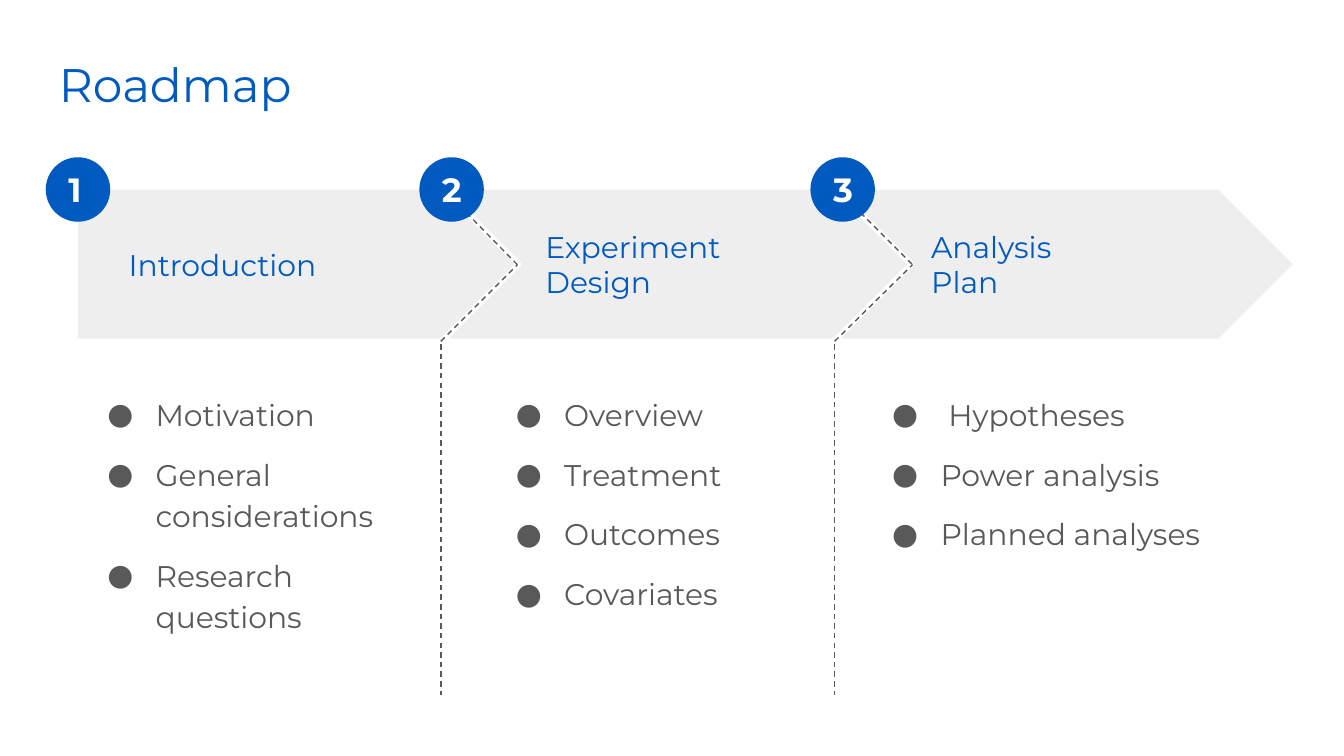
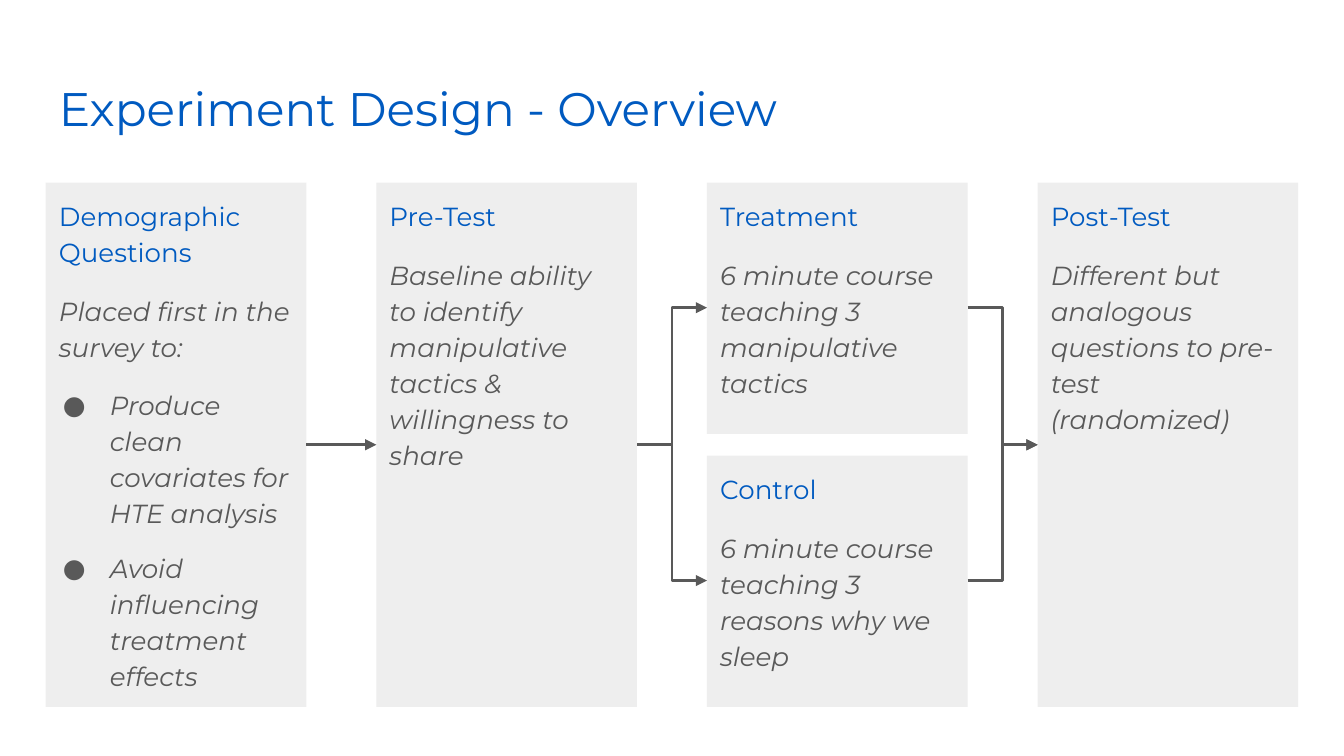
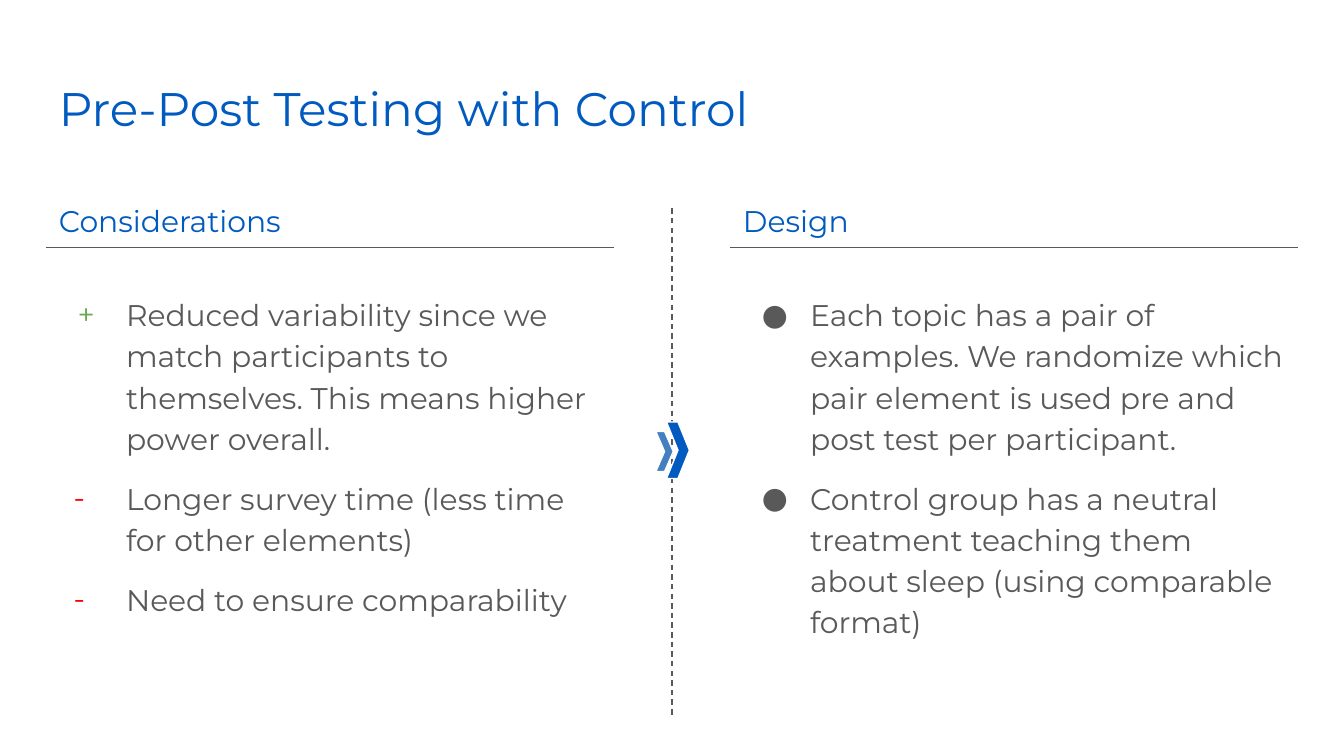
import pptx
import pptx.dml.color
import pptx.enum.dml
import pptx.enum.shapes
import pptx.enum.text
import pptx.oxml.ns
import pptx.util
import lxml.etree

PX = 9144
FACE = "Montserrat"
HUE = {"blue": "005AC0", "pale": "4280C0", "gray": "595959", "mist": "EEEEEE",
       "white": "FFFFFF", "green": "6AA84F", "red": "FF0000"}
KIND = pptx.enum.shapes.MSO_SHAPE
LINK = pptx.enum.shapes.MSO_CONNECTOR
TOP = pptx.enum.text.MSO_ANCHOR.TOP
MID = pptx.enum.text.MSO_ANCHOR.MIDDLE
LEFT = pptx.enum.text.PP_ALIGN.LEFT

STYLE = {
    "title": {"font": {"size": 25.2}, "hue": "blue"},
    "step": {"font": {"size": 16}, "hue": "blue", "dent": (30, 0)},
    "stage": {"font": {"size": 16}, "hue": "blue", "dent": (80, 0)},
    "badge": {"font": {"size": 18, "bold": True}, "hue": "white"},
    "head": {"font": {"size": 16}, "hue": "blue", "after": 10},
    "item": {"font": {"size": 16}, "hue": "gray", "dent": (50, -36),
             "space": 1.15, "before": 10, "mark": ("●", "gray")},
    "plus": {"font": {"size": 16}, "hue": "gray", "dent": (50, -36),
             "space": 1.15, "before": 10, "mark": ("+", "green")},
    "minus": {"font": {"size": 16}, "hue": "gray", "dent": (50, -39),
              "space": 1.15, "before": 10, "mark": ("-", "red")},
    "card": {"font": {"size": 14}, "hue": "blue", "space": 1.15},
    "note": {"font": {"size": 14, "italic": True}, "hue": "gray",
             "space": 1.15, "before": 12},
    "lead": {"font": {"size": 14, "italic": True}, "hue": "gray", "dent": (38, -35),
             "space": 1.15, "before": 12, "mark": ("●", "gray")},
    "goal": {"font": {"size": 14, "italic": True}, "hue": "gray", "dent": (38, -35),
             "space": 1.15, "before": 10, "mark": ("●", "gray")},
}

STEPS = [
    {"left": 56, "wide": 330, "badge": 34, "body": 56,
     "name": [("step", "Introduction")],
     "items": ["Motivation", "General considerations", "Research questions"]},
    {"left": 316, "wide": 362, "badge": 312, "body": 360, "foot": 328, "tip": 385,
     "name": [("stage", "Experiment"), ("stage", "Design")],
     "items": ["Overview", "Treatment", "Outcomes", "Covariates"]},
    {"left": 603, "wide": 362, "badge": 603, "body": 640, "foot": 621, "tip": 679,
     "name": [("stage", "Analysis"), ("stage", "Plan")],
     "items": [" Hypotheses", "Power analysis", "Planned analyses"]},
]

CARDS = {
    "demo": (0, "full", [
        ("card", "Demographic Questions"),
        ("note", "Placed first in the survey to:"),
        ("lead", "Produce clean covariates for HTE analysis"),
        ("goal", "Avoid influencing treatment effects")]),
    "pre": (1, "full", [
        ("card", "Pre-Test"),
        ("note", "Baseline ability to identify manipulative tactics & willingness to share")]),
    "treat": (2, "upper", [
        ("card", "Treatment"),
        ("note", "6 minute course teaching 3 manipulative tactics")]),
    "post": (3, "full", [
        ("card", "Post-Test"),
        ("note", "Different but analogous questions to pre-test (randomized)")]),
    "control": (2, "lower", [
        ("card", "Control"),
        ("note", "6 minute course teaching 3 reasons why we sleep")]),
}
ROWS = {"full": (136, 390), "upper": (136, 187), "lower": (339, 187)}
FLOW = [("demo", "pre"), ("pre", "treat"), ("pre", "control"),
        ("treat", "post"), ("control", "post")]

SIDES = [
    (34, "Considerations", [
        ("plus", "Reduced variability since we match participants to themselves. "
                 "This means higher power overall."),
        ("minus", "Longer survey time (less time for other elements)"),
        ("minus", "Need to ensure comparability")]),
    (543, "Design", [
        ("item", "Each topic has a pair of examples. We randomize which pair element "
                 "is used pre and post test per participant."),
        ("item", "Control group has a neutral treatment teaching them about sleep "
                 "(using comparable format)")]),
]
CHEVS = [(496, 314, 17, 42, "blue"), (488, 321, 13, 30, "pale")]


def tint(name):
    return pptx.dml.color.RGBColor.from_string(HUE[name])


def put(thing, vals):
    for key, val in vals.items():
        setattr(thing, key, val)


def node(home, tag, **vals):
    return lxml.etree.SubElement(home, pptx.oxml.ns.qn(tag), vals)


def write(shape, lines, anchor):
    frame = shape.text_frame
    put(frame, {"word_wrap": True, "vertical_anchor": anchor})
    put(frame, {"margin_" + side: 10 * PX for side in ("left", "top", "right", "bottom")})
    for num, (kind, text) in enumerate(lines):
        style = STYLE[kind]
        para = frame.add_paragraph() if num else frame.paragraphs[0]
        put(para, {"alignment": LEFT, "line_spacing": style.get("space", 1.0),
                   "space_before": pptx.util.Pt(style.get("before", 0) if num else 0),
                   "space_after": pptx.util.Pt(style.get("after", 0))})
        prop = para._p.get_or_add_pPr()
        left, first = style.get("dent", (0, 0))
        prop.set("marL", str(left * PX))
        prop.set("indent", str(first * PX))
        if "mark" in style:
            sign, hue = style["mark"]
            node(node(prop, "a:buClr"), "a:srgbClr", val=HUE[hue])
            node(prop, "a:buFont", typeface=FACE)
            node(prop, "a:buChar", char=sign)
        run = para.add_run()
        run.text = text
        put(run.font, {"name": FACE, **style["font"],
                       "size": pptx.util.Pt(style["font"]["size"])})
        run.font.color.rgb = tint(style["hue"])


def text(pad, box, lines, anchor=TOP, fill=None):
    shape = pad.add_textbox(*(n * PX for n in box))
    if fill:
        shape.fill.solid()
        shape.fill.fore_color.rgb = tint(fill)
    write(shape, lines, anchor)


def form(pad, kind, box, fill, lines=(), anchor=TOP, edge=0):
    shape = pad.add_shape(kind, *(n * PX for n in box))
    shape.shadow.inherit = False
    shape.fill.solid()
    shape.fill.fore_color.rgb = tint(fill)
    if edge:
        shape.line.color.rgb = tint("white")
        shape.line.width = pptx.util.Pt(edge)
    else:
        shape.line.fill.background()
    if lines:
        write(shape, lines, anchor)


def link(pad, start, end, width=0.75, dash=False, kind=LINK.STRAIGHT, arrow=False):
    line = pad.add_connector(kind, *(n * PX for n in start + end))
    line.line.color.rgb = tint("gray")
    line.line.width = pptx.util.Pt(width)
    if dash:
        line.line.dash_style = pptx.enum.dml.MSO_LINE.DASH
    prop = line._element.spPr
    if arrow:
        node(prop.find(pptx.oxml.ns.qn("a:ln")), "a:tailEnd", type="triangle")
    node(prop, "a:effectLst")


def page(deck, title, top=49):
    pad = deck.slides.add_slide(deck.slide_layouts[6]).shapes
    text(pad, (34, top, 932, 63), [("title", title)])
    return pad


def roadmap(deck):
    pad = page(deck, "Roadmap", 31)
    for step in reversed(STEPS):
        form(pad, KIND.PENTAGON, (step["left"], 139, step["wide"], 115), "mist",
             step["name"], MID, 3)
    for step in STEPS:
        text(pad, (step["body"], 281, 280, 252),
             [("item", item) for item in step["items"]], fill="white")
    for step in STEPS[1:]:
        foot, tip = step["foot"], (step["tip"], 197)
        link(pad, (foot, 256), (foot, 517), dash=True)
        link(pad, (foot, 254), tip, dash=True)
        link(pad, (foot + 4, 143), tip, dash=True)
    for num, step in enumerate(STEPS, 1):
        form(pad, KIND.OVAL, (step["badge"], 117, 48, 48), "blue",
             [("badge", str(num))], MID)


def design(deck):
    pad = page(deck, "Experiment Design - Overview")
    wide, pitch = 194, 246
    ports = {}
    for name, (col, row, lines) in CARDS.items():
        left = 34 + col * pitch
        top, high = ROWS[row]
        form(pad, KIND.RECTANGLE, (left, top, wide, high), "mist", lines)
        mid = top + high // 2
        ports[name] = (left, mid), (left + wide, mid)
    for start, end in FLOW:
        link(pad, ports[start][1], ports[end][0], 1.5, kind=LINK.ELBOW, arrow=True)


def testing(deck):
    pad = page(deck, "Pre-Post Testing with Control")
    for left, head, lines in SIDES:
        group = pad.add_group_shape().shapes
        text(group, (left, 207, 423, 324), lines)
        text(group, (left, 139, 423, 50), [("head", head)], MID)
        link(group, (left, 184), (left + 423, 184))
    link(pad, (500, 155), (500, 534), dash=True)
    for *box, hue in CHEVS:
        form(pad, KIND.CHEVRON, box, hue, edge=0.75)


def main():
    deck = pptx.Presentation()
    put(deck, {"slide_width": 1000 * PX, "slide_height": 1000 * PX * 9 // 16})
    for build in (roadmap, design, testing):
        build(deck)
    deck.save("out.pptx")


if __name__ == "__main__":
    main()
